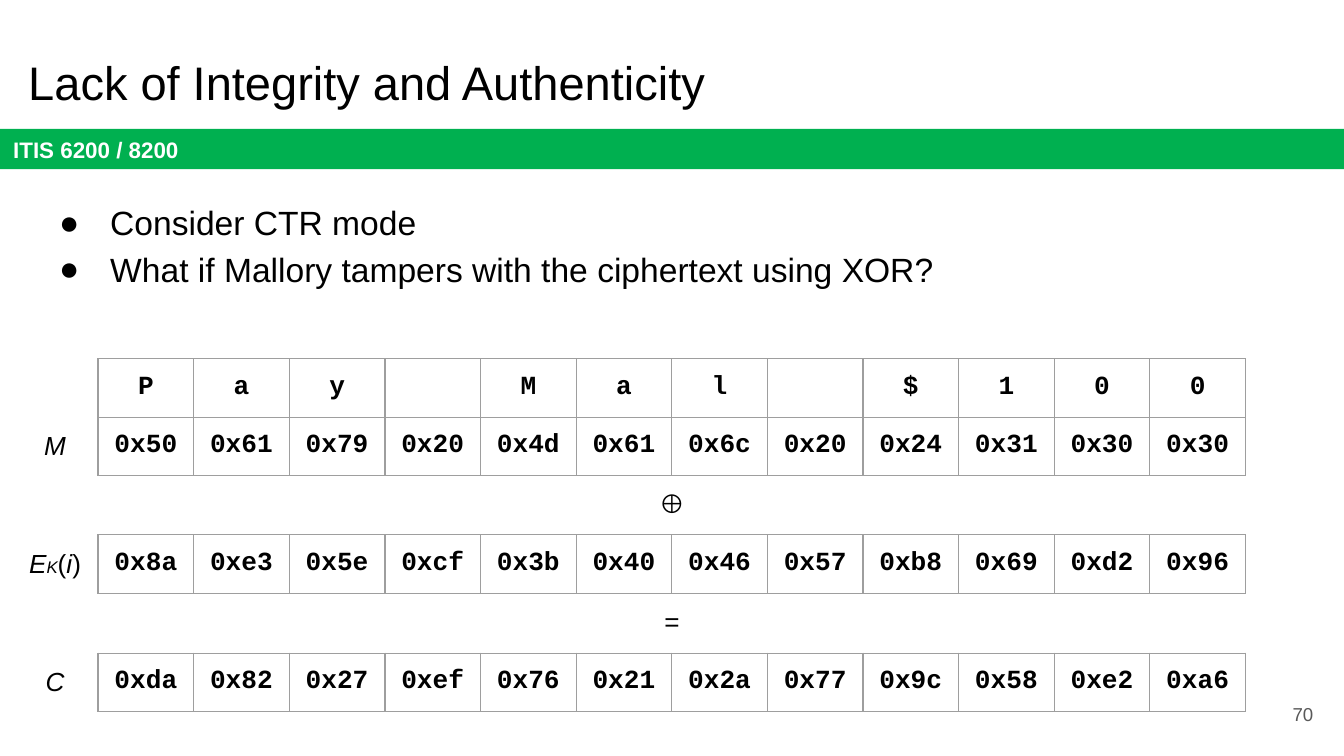
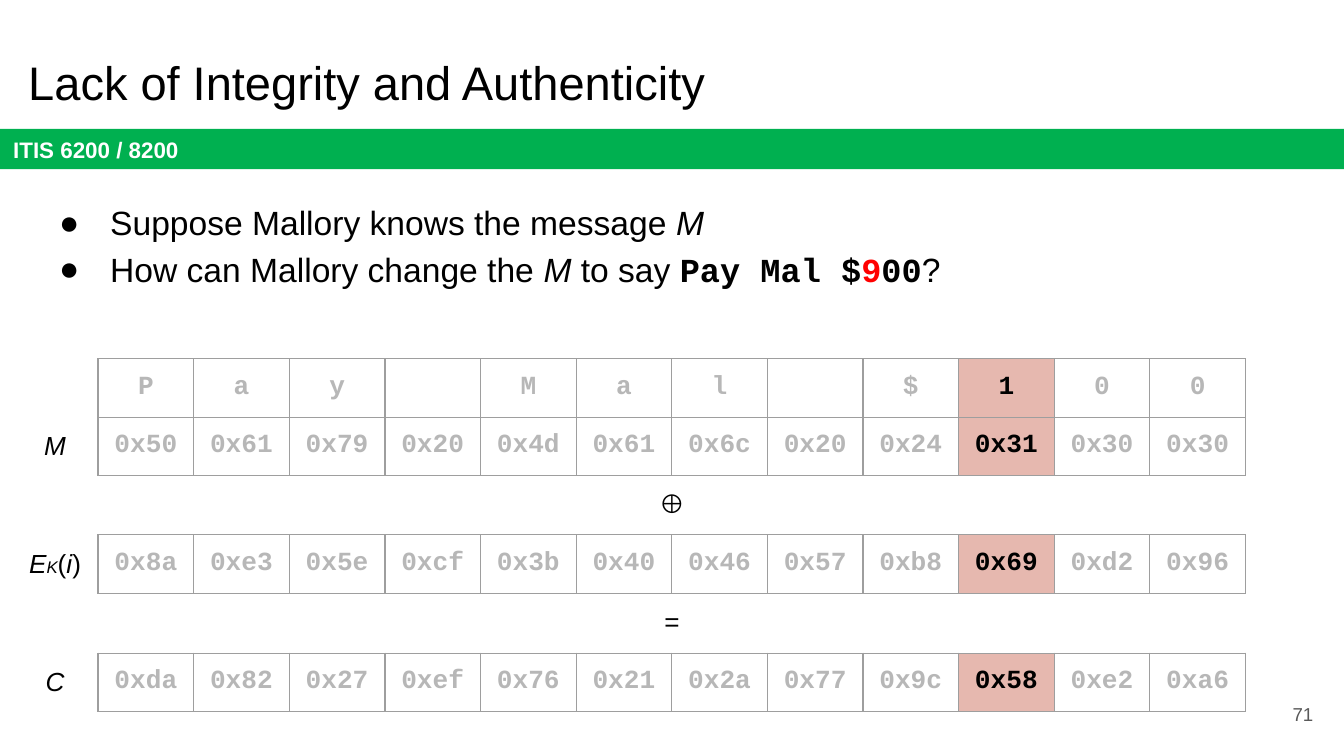
from dataclasses import dataclass

from lxml.etree import SubElement
from pptx import Presentation
from pptx.dml.color import RGBColor
from pptx.enum.shapes import MSO_SHAPE
from pptx.enum.text import MSO_ANCHOR, MSO_AUTO_SIZE, PP_ALIGN
from pptx.oxml.ns import qn
from pptx.util import Inches, Pt

# Content: a run is plain text or (text, style)
COURSE = "ITIS 6200 / 8200"
TITLE = "Lack of Integrity and Authenticity"
PLAIN = "Pay Mal $100"
PAD = [0x8A, 0xE3, 0x5E, 0xCF, 0x3B, 0x40, 0x46, 0x57, 0xB8, 0x69, 0xD2, 0x96]
SLIDES = [
    {"page": 70, "focus": None, "points": [
        ["Consider CTR mode"],
        ["What if Mallory tampers with the ciphertext using XOR?"]]},
    {"page": 71, "focus": 9, "points": [
        ["Suppose Mallory knows the message ", ("M", "math")],
        ["How can Mallory change the ", ("M", "math"), " to say ",
         ("Pay Mal $", "code"), ("9", "hot"), ("00", "code"), "?"]]},
]


def hexes(codes):
    return [f"0x{code:02x}" for code in codes]


# Each block: top, table rows, label runs, operator below
BYTES = PLAIN.encode()
BLOCKS = [
    (2.67, [list(PLAIN), hexes(BYTES)], [("M", "math")], "⊕"),
    (3.98, [hexes(PAD)],
     [("E", "math"), ("K", "sub"), "(", ("i", "math"), ")"], "="),
    (4.86, [hexes(m ^ k for m, k in zip(BYTES, PAD))], [("C", "math")], None),
]


@dataclass(frozen=True)
class Theme:
    sans: str = "Arial"
    mono: str = "Courier New"
    ink: str = "000000"
    white: str = "FFFFFF"
    green: str = "00B050"
    red: str = "FF0000"
    pink: str = "E6B8AF"
    faded: str = "B7B7B7"
    grid: str = "9E9E9E"
    gray: str = "595959"
    title: float = 25.2
    body: float = 18
    cell: float = 14
    band: float = 12
    page: float = 10
    sub: float = 9


T = Theme()
WIDE = Inches(10)
HIGH = WIDE * 9 // 16
INSET = Inches(0.1)
LEFT = Inches(0.73)
COL = Inches(8.54) // len(PLAIN)
ROW = Inches(0.87) // 2
LIFT = Inches(0.01)
BOX = Inches(0.6), Inches(0.44)


# Text helpers
def style(font, size, color=T.ink, name=T.sans, bold=False):
    font.name, font.size, font.bold = name, Pt(size), bold
    font.color.rgb = RGBColor.from_string(color)


def fill_runs(para, runs):
    for item in runs:
        text, kind = (item, None) if isinstance(item, str) else item
        run = para.add_run()
        run.text = text
        if kind in ("math", "sub"):
            run.font.italic = True
        if kind == "sub":
            run.font.size = Pt(T.sub)
        if kind in ("code", "hot"):
            run.font.name, run.font.bold = T.mono, True
        if kind == "hot":
            run.font.color.rgb = RGBColor.from_string(T.red)


def set_frame(shape, anchor=MSO_ANCHOR.TOP, fit=MSO_AUTO_SIZE.NONE):
    frame = shape.text_frame
    frame.word_wrap, frame.auto_size = True, fit
    frame.vertical_anchor = anchor
    frame.margin_left = frame.margin_right = INSET
    frame.margin_top = frame.margin_bottom = INSET
    return frame


def place(shape, *box):
    shape.left, shape.top, shape.width, shape.height = map(Inches, box)


def add_mark(slide, left, top, runs):
    box = slide.shapes.add_textbox(left, top, *BOX)
    para = set_frame(box, fit=MSO_AUTO_SIZE.SHAPE_TO_FIT_TEXT).paragraphs[0]
    para.alignment = PP_ALIGN.CENTER
    style(para.font, T.cell)
    fill_runs(para, runs)


# Shared slide parts
def add_band(slide):
    band = slide.shapes.add_shape(MSO_SHAPE.RECTANGLE, 0, Inches(0.96),
                                  WIDE, Inches(0.3))
    band.shadow.inherit = False
    band.fill.solid()
    band.fill.fore_color.rgb = RGBColor.from_string(T.green)
    band.line.fill.background()
    para = set_frame(band, MSO_ANCHOR.MIDDLE).paragraphs[0]
    para.text, para.alignment = COURSE, PP_ALIGN.LEFT
    style(para.font, T.band, T.white, bold=True)


def add_title(slide):
    title = slide.shapes.title
    place(title, 0.11, 0.3, 9.32, 0.63)
    para = set_frame(title).paragraphs[0]
    para.text, para.alignment = TITLE, PP_ALIGN.LEFT
    style(para.font, T.title)


def add_page(slide, page):
    box = slide.shapes.add_textbox(0, 0, 0, 0)
    place(box, 9.27, 5.1, 0.6, 0.43)
    para = set_frame(box, MSO_ANCHOR.MIDDLE).paragraphs[0]
    para.text, para.alignment = str(page), PP_ALIGN.RIGHT
    style(para.font, T.page, T.gray)


# Bullet list
def add_points(slide, points):
    body = slide.placeholders[1]
    place(body, 0.22, 1.36, 9.32, 1.83)
    frame = set_frame(body)
    for i, runs in enumerate(points):
        para = frame.add_paragraph() if i else frame.paragraphs[0]
        para.line_spacing, para.space_before = 1.15, Pt(0)
        props = para._p.get_or_add_pPr()
        props.set("marL", str(Inches(0.5)))
        props.set("indent", str(Inches(-0.38)))
        tint = SubElement(props, qn("a:buClr"))
        SubElement(tint, qn("a:srgbClr"), val=T.ink)
        SubElement(props, qn("a:buFont"), typeface=T.sans)
        SubElement(props, qn("a:buChar"), char="●")
        style(para.font, T.body)
        fill_runs(para, runs)


# Byte tables
def set_cell(cell, text, color, fill):
    cell.margin_left = cell.margin_right = INSET
    cell.margin_top = cell.margin_bottom = INSET
    para = cell.text_frame.paragraphs[0]
    para.text, para.alignment = text, PP_ALIGN.CENTER
    style(para.font, T.cell, color, T.mono, True)
    props = cell._tc.get_or_add_tcPr()
    for side in ("lnL", "lnR", "lnT", "lnB"):
        line = SubElement(props, qn(f"a:{side}"), w=str(Pt(0.75)))
        paint = SubElement(line, qn("a:solidFill"))
        SubElement(paint, qn("a:srgbClr"), val=T.grid)
    if fill:
        cell.fill.solid()
        cell.fill.fore_color.rgb = RGBColor.from_string(fill)
    else:
        cell.fill.background()


def add_bytes(slide, top, rows, focus):
    table = slide.shapes.add_table(len(rows), len(PLAIN), LEFT, top,
                                   COL * len(PLAIN), ROW * len(rows)).table
    table.first_row = table.horz_banding = False
    for col in table.columns:
        col.width = COL
    for r, row in enumerate(rows):
        table.rows[r].height = ROW
        for c, text in enumerate(row):
            color = T.ink if focus in (None, c) else T.faded
            set_cell(table.cell(r, c), text, color,
                     T.pink if c == focus else None)


def add_block(slide, block, focus):
    top, rows, label, sign = block
    top = Inches(top)
    end = top + ROW * len(rows)
    add_bytes(slide, top, rows, focus)
    add_mark(slide, Inches(0.11), end - ROW - LIFT, label)
    if sign:
        add_mark(slide, Inches(4.7), end - LIFT, [sign])


def main():
    deck = Presentation()
    deck.slide_width, deck.slide_height = WIDE, HIGH
    for data in SLIDES:
        slide = deck.slides.add_slide(deck.slide_layouts[1])
        add_band(slide)
        add_title(slide)
        add_points(slide, data["points"])
        add_page(slide, data["page"])
        for block in BLOCKS:
            add_block(slide, block, data["focus"])
    deck.save("out.pptx")


if __name__ == "__main__":
    main()
